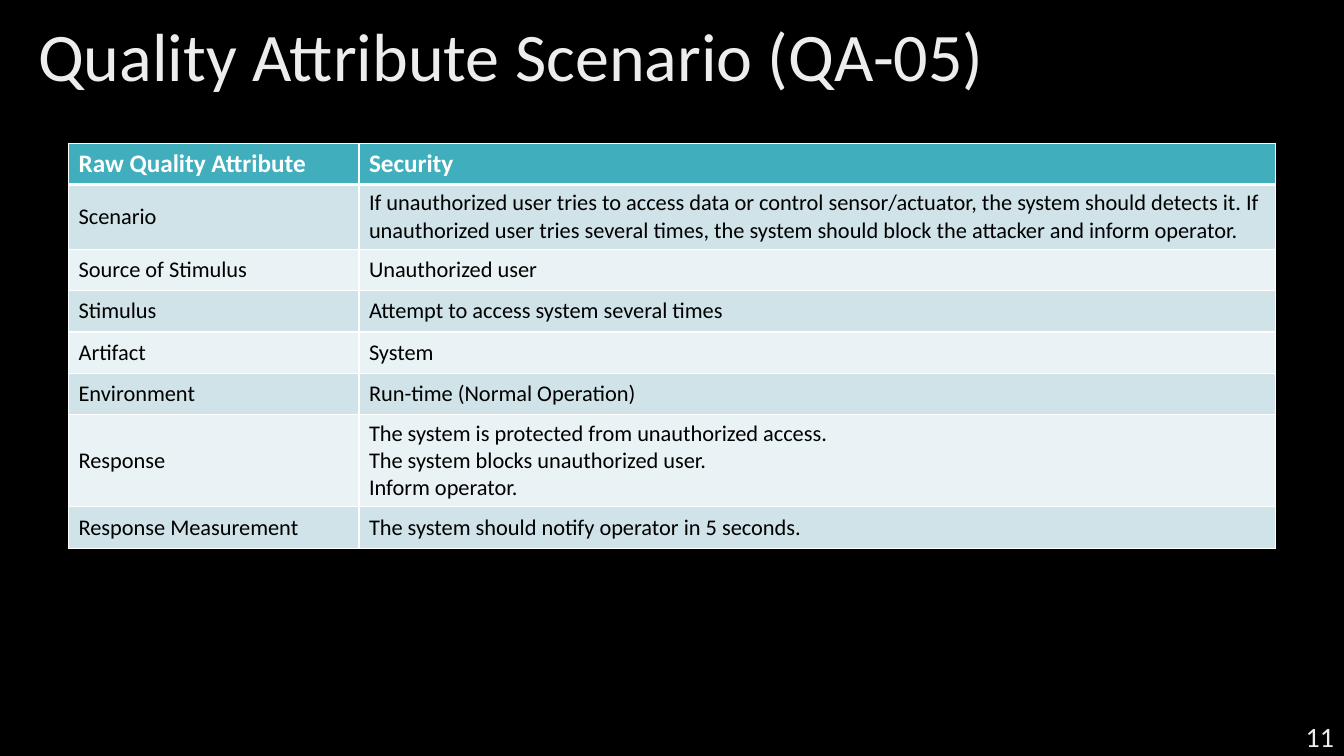
import pptx
import pptx.dml.color
import pptx.enum.text
import pptx.oxml
import pptx.oxml.ns
import pptx.util
from pptx.util import Inches

FONT = "Calibri"
COLORS = {
    "background": "000000",
    "title": "EDEDED",
    "header_fill": "41AEBD",
    "header_text": "FFFFFF",
    "odd_row": "CFE3E8",
    "even_row": "E9F2F4",
    "body_text": "000000",
    "border": "FFFFFF",
}
SCENARIO_ROWS = [
    ("Raw Quality Attribute", "Security"),
    ("Scenario",
     "If unauthorized user tries to access data or control sensor/actuator, "
     "the system should detects it. If unauthorized user tries several times, "
     "the system should block the attacker and inform operator."),
    ("Source of Stimulus", "Unauthorized user"),
    ("Stimulus", "Attempt to access system several times"),
    ("Artifact", "System"),
    ("Environment", "Run-time (Normal Operation)"),
    ("Response",
     "The system is protected from unauthorized access.\n"
     "The system blocks unauthorized user.\n"
     "Inform operator."),
    ("Response Measurement", "The system should notify operator in 5 seconds."),
]
COLUMN_WIDTHS = (2.88, 9.09)
ROW_HEIGHT = 0.41


def rgb(name):
    return pptx.dml.color.RGBColor.from_string(COLORS[name])


def format_text(text_frame, size, color, bold=False):
    for paragraph in text_frame.paragraphs:
        for run in paragraph.runs:
            run.font.name = FONT
            run.font.size = pptx.util.Pt(size)
            run.font.bold = bold
            run.font.color.rgb = rgb(color)


def add_label(slide, box, text, size, align, line_spacing=1.0):
    """Place one line of text, vertically centred in the box."""
    label = slide.shapes.add_textbox(*(Inches(length) for length in box))
    frame = label.text_frame
    frame.word_wrap = True
    frame.vertical_anchor = pptx.enum.text.MSO_ANCHOR.MIDDLE
    frame.text = text
    frame.paragraphs[0].alignment = align
    frame.paragraphs[0].line_spacing = line_spacing
    format_text(frame, size, "title")


def set_borders(cell, bottom_width):
    """Draw the four cell edges; they precede the fill in the cell properties."""
    properties = cell._tc.get_or_add_tcPr()
    widths = {"lnL": 1, "lnR": 1, "lnT": 1, "lnB": bottom_width}
    for position, (edge, width) in enumerate(widths.items()):
        line = pptx.oxml.parse_xml(
            f'<a:{edge} {pptx.oxml.ns.nsdecls("a")} w="{pptx.util.Pt(width)}">'
            f'<a:solidFill><a:srgbClr val="{COLORS["border"]}"/></a:solidFill>'
            f'</a:{edge}>')
        properties.insert(position, line)


def add_scenario_table(slide, box):
    left, top, width, height = box
    table_frame = slide.shapes.add_table(
        len(SCENARIO_ROWS), len(COLUMN_WIDTHS),
        Inches(left), Inches(top), Inches(width), Inches(height))
    table = table_frame.table
    for column, column_width in zip(table.columns, COLUMN_WIDTHS):
        column.width = Inches(column_width)

    for row_index, texts in enumerate(SCENARIO_ROWS):
        table.rows[row_index].height = Inches(ROW_HEIGHT)
        is_header = row_index == 0
        if is_header:
            fill = "header_fill"
        else:
            fill = "odd_row" if row_index % 2 else "even_row"
        for column_index, text in enumerate(texts):
            cell = table.cell(row_index, column_index)
            cell.text = text
            cell.fill.solid()
            cell.fill.fore_color.rgb = rgb(fill)
            if is_header:
                format_text(cell.text_frame, 18, "header_text", bold=True)
            else:
                cell.vertical_anchor = pptx.enum.text.MSO_ANCHOR.MIDDLE
                format_text(cell.text_frame, 16, "body_text")
            # The heavy rule under the header is shared with the row below
            set_borders(cell, 3 if is_header else 1)
            if row_index == 1:
                top_edge = cell._tc.tcPr.find(pptx.oxml.ns.qn("a:lnT"))
                top_edge.set("w", str(pptx.util.Pt(3)))
    table_frame.height = Inches(height)


def main():
    presentation = pptx.Presentation()
    presentation.slide_width = Inches(13.33)
    presentation.slide_height = Inches(7.5)
    slide = presentation.slides.add_slide(presentation.slide_layouts[6])
    slide.background.fill.solid()
    slide.background.fill.fore_color.rgb = rgb("background")

    # Scenario table
    add_scenario_table(slide, (0.68, 1.42, sum(COLUMN_WIDTHS), 4.23))
    # Title
    add_label(slide, (0.28, 0.2, 12.77, 0.78), "Quality Attribute Scenario (QA-05)",
              48.6, pptx.enum.text.PP_ALIGN.LEFT, line_spacing=0.9)
    # Slide number
    add_label(slide, (10.33, 7.1, 3, 0.4), "11", 20, pptx.enum.text.PP_ALIGN.RIGHT)

    presentation.save("out.pptx")


if __name__ == "__main__":
    main()
